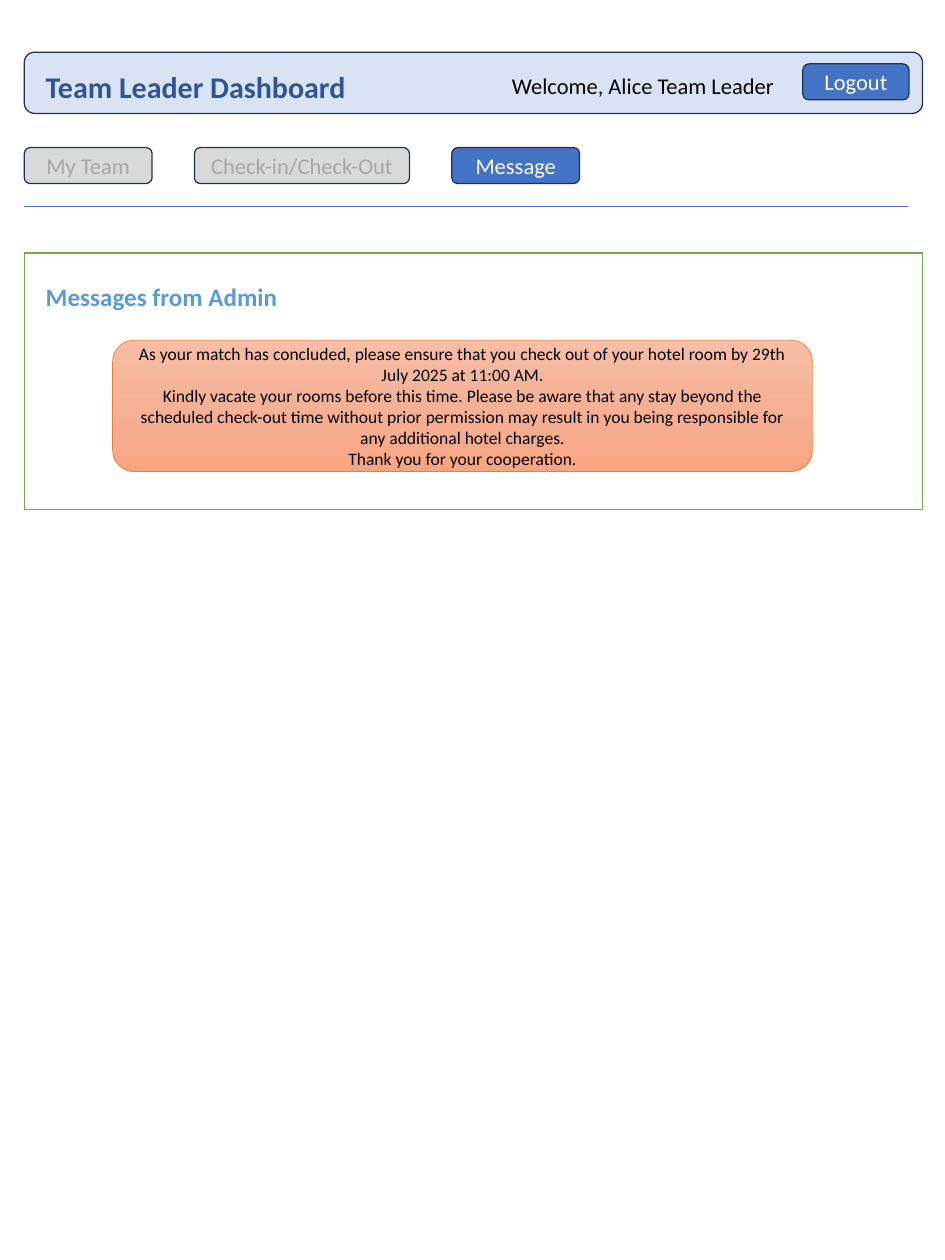
from copy import deepcopy

from lxml import etree
from pptx import Presentation
from pptx.dml.color import RGBColor
from pptx.enum.shapes import MSO_CONNECTOR, MSO_SHAPE
from pptx.enum.text import MSO_ANCHOR, MSO_AUTO_SIZE, PP_ALIGN
from pptx.oxml.ns import qn
from pptx.util import Inches, Pt

# Content
TITLE = "Team Leader Dashboard"
WELCOME = "Welcome, Alice Team Leader"
LOGOUT = "Logout"
TABS = [  # label, width, style
    ("My Team", 1.42, "inactive"),
    ("Check-in/Check-Out", 2.39, "inactive"),
    ("Message", 1.42, "active"),
]
MESSAGES_HEADING = "Messages from Admin"
MESSAGE = [
    "As your match has concluded, please ensure that you check out of your "
    "hotel room by 29th July 2025 at 11:00 AM.",
    "Kindly vacate your rooms before this time. Please be aware that any stay "
    "beyond the scheduled check-out time without prior permission may result "
    "in you being responsible for any additional hotel charges.",
    "Thank you for your cooperation.",
]

# Theme: colours, line widths and type
THEME = {
    "font": "Calibri",
    "text": {
        "title": {"size": 24, "color": "2F5597", "bold": True},
        "welcome": {"size": 18, "color": "000000"},
        "active": {"size": 18, "color": "FFFFFF"},
        "inactive": {"size": 18, "color": "A6A6A6"},
        "heading": {"size": 20, "color": "5B9BD5", "bold": True},
        "message": {"size": 14, "color": "000000"},
    },
    "box": {  # fill (a list is a gradient), line colour, line width
        "header": ("DAE3F3", "1E3256", 1),
        "active": ("4472C4", "1E3256", 1),
        "inactive": ("D9D9D9", "1E3256", 1),
        "panel": ("FFFFFF", "70AD47", 1),
        "message": (["F7BDA5", "F5B196", "F8A582"], "ED7D31", 0.5),
    },
    "divider": ("4472C4", 0.5),
}

# Layout
LEFT, CONTENT_WIDTH, TEXT_LEFT = 0.27, 9.98, 0.41
BUTTON_HEIGHT, TAB_TOP, TAB_GAP = 0.4, 1.64, 0.47
DIVIDER_TOP, DIVIDER_RIGHT = 2.29, 10.09


def write(shape, paragraphs, style, alignment):
    values = dict(THEME["text"][style])
    color = RGBColor.from_string(values.pop("color"))
    values.update(size=Pt(values["size"]), name=THEME["font"])
    frame = shape.text_frame
    frame.word_wrap = True
    for index, text in enumerate(paragraphs):
        paragraph = frame.add_paragraph() if index else frame.paragraphs[0]
        paragraph.alignment = alignment
        run = paragraph.add_run()
        run.text = text
        run.font.color.rgb = color
        for name, value in values.items():
            setattr(run.font, name, value)


def set_line(line, color, width):
    line.color.rgb = RGBColor.from_string(color)
    line.width = Pt(width)


def set_gradient(shape, colors):
    """Spread the colours evenly from top to bottom."""
    shape.fill.gradient()
    shape.fill.gradient_angle = 270
    stop_list = next(shape.element.iter(qn("a:gsLst")))
    while len(stop_list) < len(colors):
        stop_list.append(deepcopy(stop_list[0]))
    for index, (stop, color) in enumerate(zip(shape.fill.gradient_stops, colors)):
        stop.position = index / (len(colors) - 1)
        stop.color.rgb = RGBColor.from_string(color)


def add_box(shapes, place, style, paragraphs=(), kind=MSO_SHAPE.ROUNDED_RECTANGLE):
    shape = shapes.add_shape(kind, *map(Inches, place))
    shape.shadow.inherit = False
    fill, line_color, line_width = THEME["box"][style]
    if isinstance(fill, list):
        set_gradient(shape, fill)
    else:
        shape.fill.solid()
        shape.fill.fore_color.rgb = RGBColor.from_string(fill)
    set_line(shape.line, line_color, line_width)
    if paragraphs:
        shape.text_frame.vertical_anchor = MSO_ANCHOR.MIDDLE
        write(shape, paragraphs, style, PP_ALIGN.CENTER)


def add_label(shapes, place, text, style):
    shape = shapes.add_textbox(*map(Inches, place))
    write(shape, [text], style, PP_ALIGN.LEFT)
    shape.text_frame.auto_size = MSO_AUTO_SIZE.SHAPE_TO_FIT_TEXT


def add_header(shapes):
    add_box(shapes, (LEFT, 0.58, CONTENT_WIDTH, 0.68), "header")
    add_label(shapes, (TEXT_LEFT, 0.71, 4.14, 0.5), TITLE, "title")
    add_label(shapes, (5.59, 0.75, 3.61, 0.4), WELCOME, "welcome")
    add_box(shapes, (8.92, 0.71, 1.18, BUTTON_HEIGHT), "active", [LOGOUT])


def add_tabs(shapes):
    left = LEFT
    for label, width, style in TABS:
        add_box(shapes, (left, TAB_TOP, width, BUTTON_HEIGHT), style, [label])
        left += width + TAB_GAP
    ends = (LEFT, DIVIDER_TOP, DIVIDER_RIGHT, DIVIDER_TOP)
    divider = shapes.add_connector(MSO_CONNECTOR.STRAIGHT, *map(Inches, ends))
    set_line(divider.line, *THEME["divider"])
    properties = next(divider.element.iter(qn("p:spPr")))
    etree.SubElement(properties, qn("a:effectLst"))


def add_messages(shapes):
    add_box(shapes, (LEFT, 2.81, CONTENT_WIDTH, 2.85), "panel", kind=MSO_SHAPE.RECTANGLE)
    add_label(shapes, (TEXT_LEFT, 3.08, 3.25, 0.44), MESSAGES_HEADING, "heading")
    add_box(shapes, (1.25, 3.78, 7.78, 1.46), "message", MESSAGE)


def main():
    presentation = Presentation()
    presentation.slide_width = Inches(10.5)
    presentation.slide_height = Inches(14)
    slide = presentation.slides.add_slide(presentation.slide_layouts[6])

    # Header and navigation share one group
    navigation = slide.shapes.add_group_shape()
    add_header(navigation.shapes)
    add_tabs(navigation.shapes)

    # Message panel
    add_messages(slide.shapes)
    presentation.save("out.pptx")


if __name__ == "__main__":
    main()
